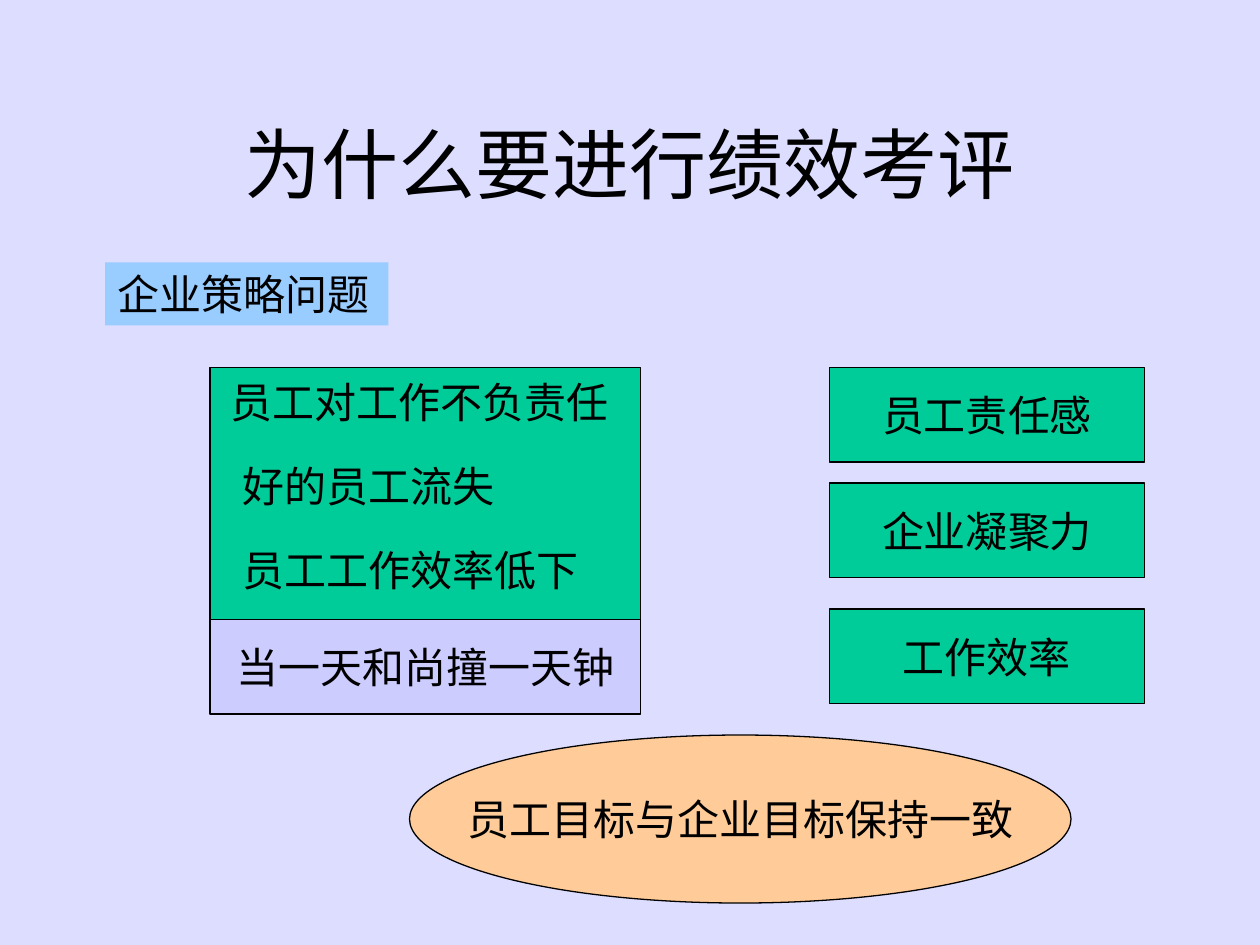
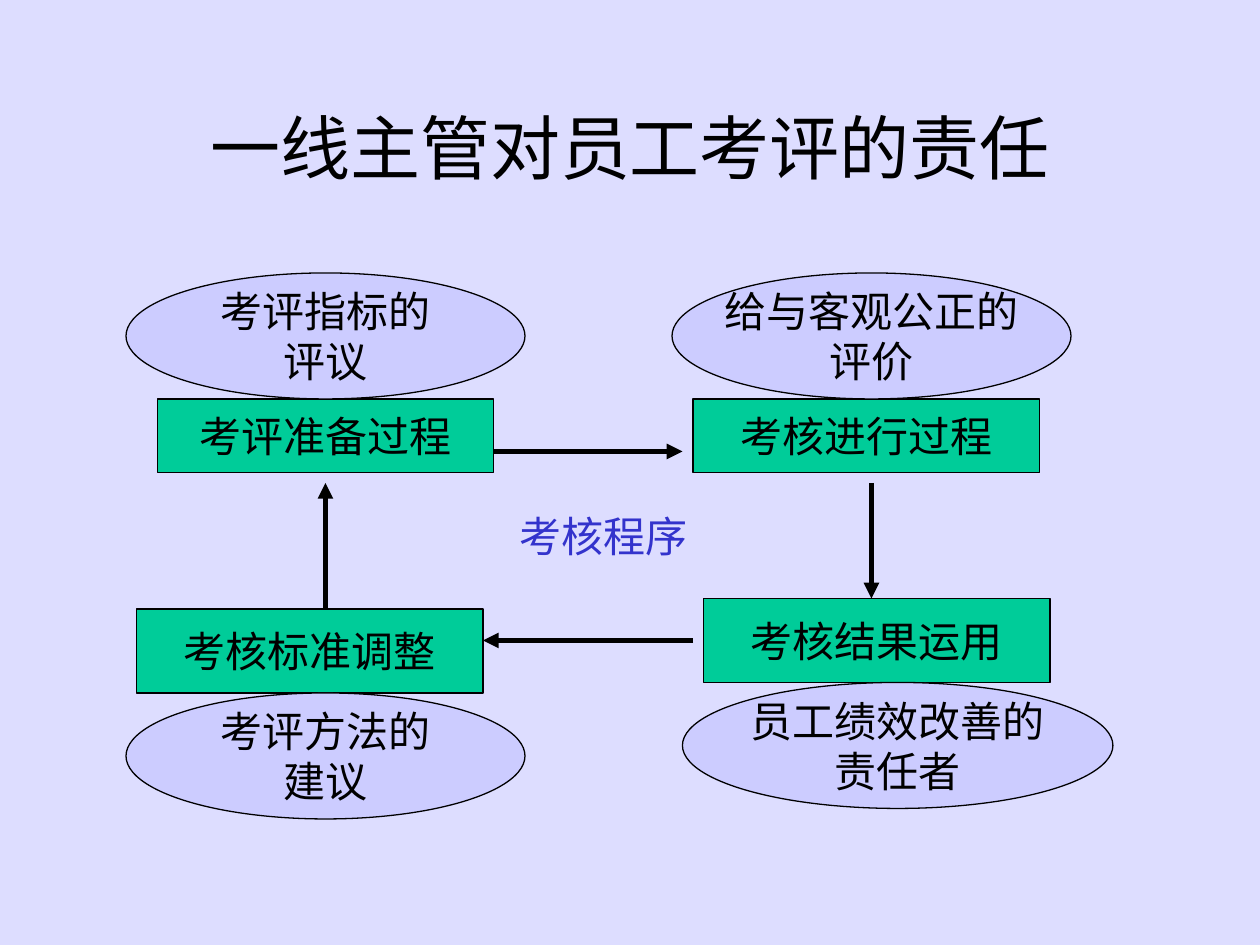
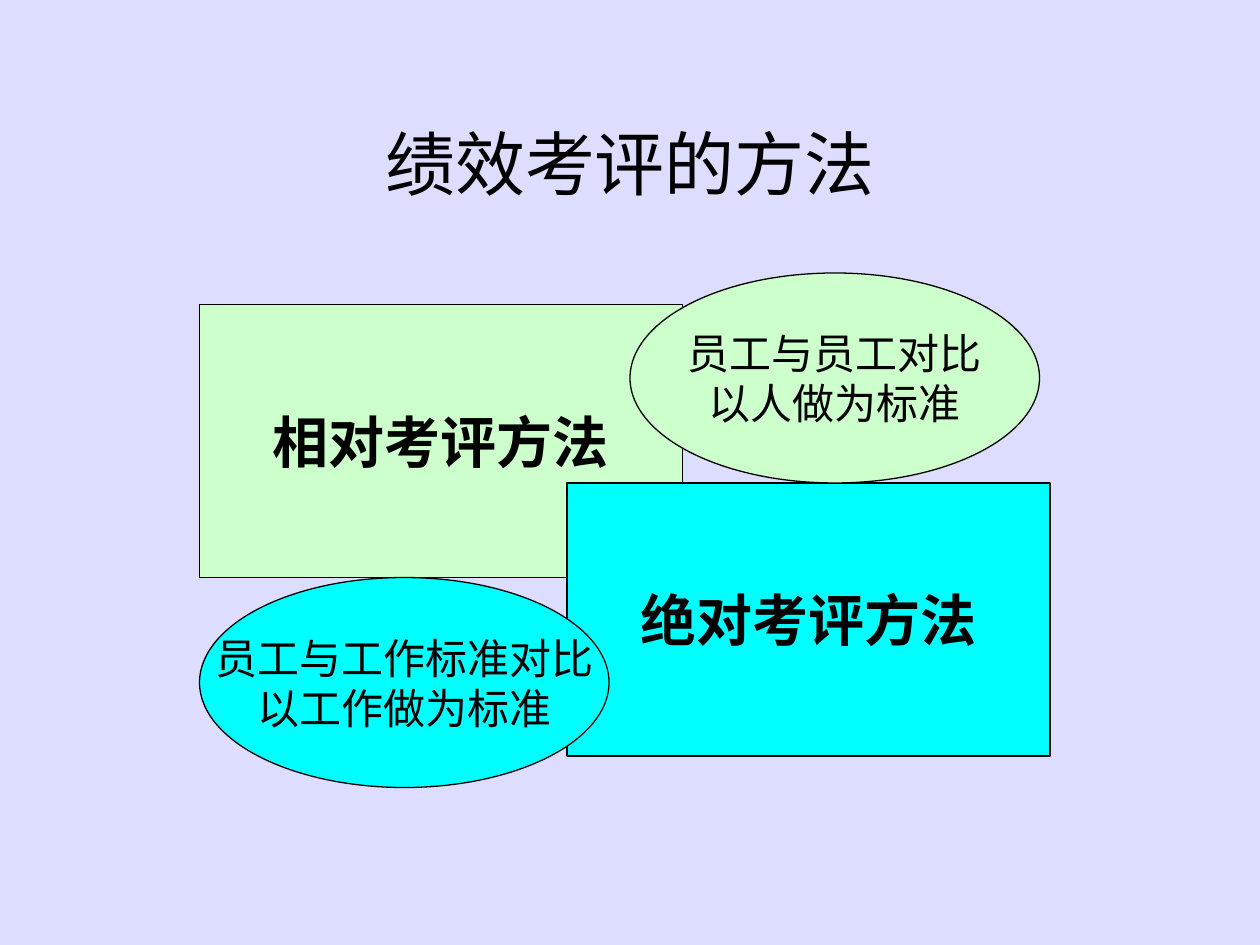
"""Build three slides on why, by whom and how staff performance is appraised."""
from lxml import etree
from pptx import Presentation
from pptx.dml.color import RGBColor
from pptx.enum import shapes, text
from pptx.oxml.ns import qn
from pptx.util import Pt

PX = 9525
BLACK = RGBColor(0x00, 0x00, 0x00)
LAVENDER = RGBColor(0xDD, 0xDD, 0xFF)
LILAC = RGBColor(0xCC, 0xCC, 0xFF)
GREEN = RGBColor(0x00, 0xCC, 0x99)
MINT = RGBColor(0xCC, 0xFF, 0xCC)
CYAN = RGBColor(0x00, 0xFF, 0xFF)
SKY = RGBColor(0x99, 0xCC, 0xFF)
PEACH = RGBColor(0xFF, 0xCC, 0x99)
BLUE = RGBColor(0x33, 0x33, 0xCC)
RECT = shapes.MSO_SHAPE.RECTANGLE
OVAL = shapes.MSO_SHAPE.OVAL
CENTER, LEFT = text.PP_ALIGN.CENTER, text.PP_ALIGN.LEFT
MIDDLE, TOP = text.MSO_ANCHOR.MIDDLE, text.MSO_ANCHOR.TOP


def write(shape, words, size=24, color=BLACK, bold=False, align=CENTER, anchor=MIDDLE):
    frame = shape.text_frame
    frame.word_wrap = False
    frame.vertical_anchor = anchor
    frame.text = words
    for paragraph in frame.paragraphs:
        paragraph.alignment = align
        paragraph.font.name = "Times New Roman"
        paragraph.font.size = Pt(size)
        paragraph.font.bold = bold
        paragraph.font.color.rgb = color


def block(slide, kind, box, fill, words="", outlined=True, **style):
    shape = slide.shapes.add_shape(kind, *(v * PX for v in box))
    shape.shadow.inherit = False
    shape.fill.solid()
    shape.fill.fore_color.rgb = fill
    if outlined:
        shape.line.color.rgb = BLACK
        shape.line.width = Pt(0.75)
    else:
        shape.line.fill.background()
    if words:
        write(shape, words, **style)


prs = Presentation()
prs.slide_width, prs.slide_height = 960 * PX, 720 * PX
backdrop = prs.slide_master.background.fill
backdrop.solid()
backdrop.fore_color.rgb = LAVENDER

slides = []
for title, size, height in [
    ("为什么要进行绩效考评", 44, 120),
    ("一线主管对员工考评的责任", 40, 96),
    ("绩效考评的方法", 40, 120),
]:
    slide = prs.slides.add_slide(prs.slide_layouts[6])
    heading = slide.shapes.add_textbox(72 * PX, 64 * PX, 816 * PX, height * PX)
    write(heading, title, size)
    slides.append(slide)
reasons, duties, methods = slides

block(reasons, RECT, (160, 280, 328, 192), GREEN)
block(reasons, RECT, (80, 200, 216, 48), SKY, "企业策略问题",
      outlined=False, align=LEFT, anchor=TOP)
problems = [(166, "员工对工作不负责任"), (175, "好的员工流失"), (175, "员工工作效率低下")]
for row, (left, problem) in enumerate(problems):
    width = 32 * len(problem) + 19
    line = reasons.shapes.add_textbox(left * PX, (282 + 64 * row) * PX, width * PX, 48 * PX)
    write(line, problem, align=LEFT, anchor=TOP)
block(reasons, RECT, (160, 472, 328, 72), LILAC, "当一天和尚撞一天钟")
for top, benefit in [(280, "员工责任感"), (368, "企业凝聚力"), (464, "工作效率")]:
    block(reasons, RECT, (632, top, 240, 72), GREEN, benefit)
block(reasons, OVAL, (312, 560, 504, 128), PEACH, "员工目标与企业目标保持一致")

for box, stage in [
    ((120, 304, 256, 56), "考评准备过程"),
    ((528, 304, 264, 56), "考核进行过程"),
    ((536, 456, 264, 64), "考核结果运用"),
    ((104, 464, 264, 64), "考核标准调整"),
]:
    block(duties, RECT, box, GREEN, stage)

for ends in [
    (376, 344, 520, 344),
    (664, 368, 664, 456),
    (528, 488, 368, 488),
    (248, 464, 248, 368),
]:
    arrow = duties.shapes.add_connector(shapes.MSO_CONNECTOR.STRAIGHT, *(v * PX for v in ends))
    arrow.line.color.rgb = BLACK
    arrow.line.width = Pt(3)
    etree.SubElement(arrow.line._get_or_add_ln(), qn("a:tailEnd"), type="triangle")
    etree.SubElement(arrow._element.spPr, qn("a:effectLst"))

cycle = duties.shapes.add_textbox(368 * PX, 384 * PX, 184 * PX, 48 * PX)
write(cycle, "考核程序", color=BLUE)

for left, top, width, duty in [
    (96, 208, 304, "考评指标的\n评议"),
    (512, 208, 304, "给与客观公正的\n评价"),
    (520, 520, 328, "员工绩效改善的\n责任者"),
    (96, 528, 304, "考评方法的\n建议"),
]:
    block(duties, OVAL, (left, top, width, 96), LILAC, duty)

for left, top, fill, method in [
    (152, 232, MINT, "相对考评方法"),
    (432, 368, CYAN, "绝对考评方法"),
]:
    block(methods, RECT, (left, top, 368, 208), fill, method, size=32, bold=True)
for left, top, fill, basis in [
    (480, 208, MINT, "员工与员工对比\n以人做为标准"),
    (152, 440, CYAN, "员工与工作标准对比\n以工作做为标准"),
]:
    block(methods, OVAL, (left, top, 312, 160), fill, basis)

prs.save("out.pptx")
